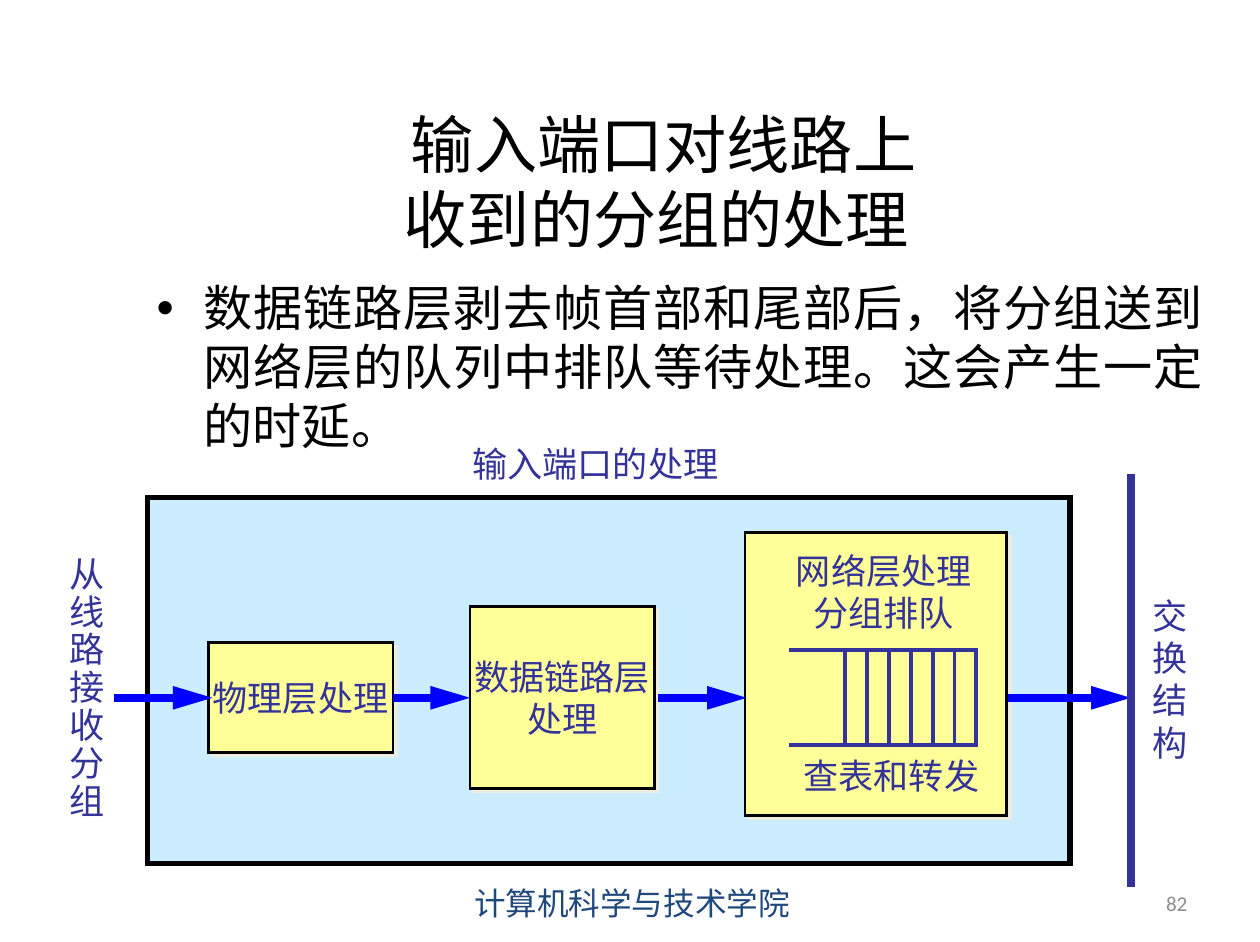
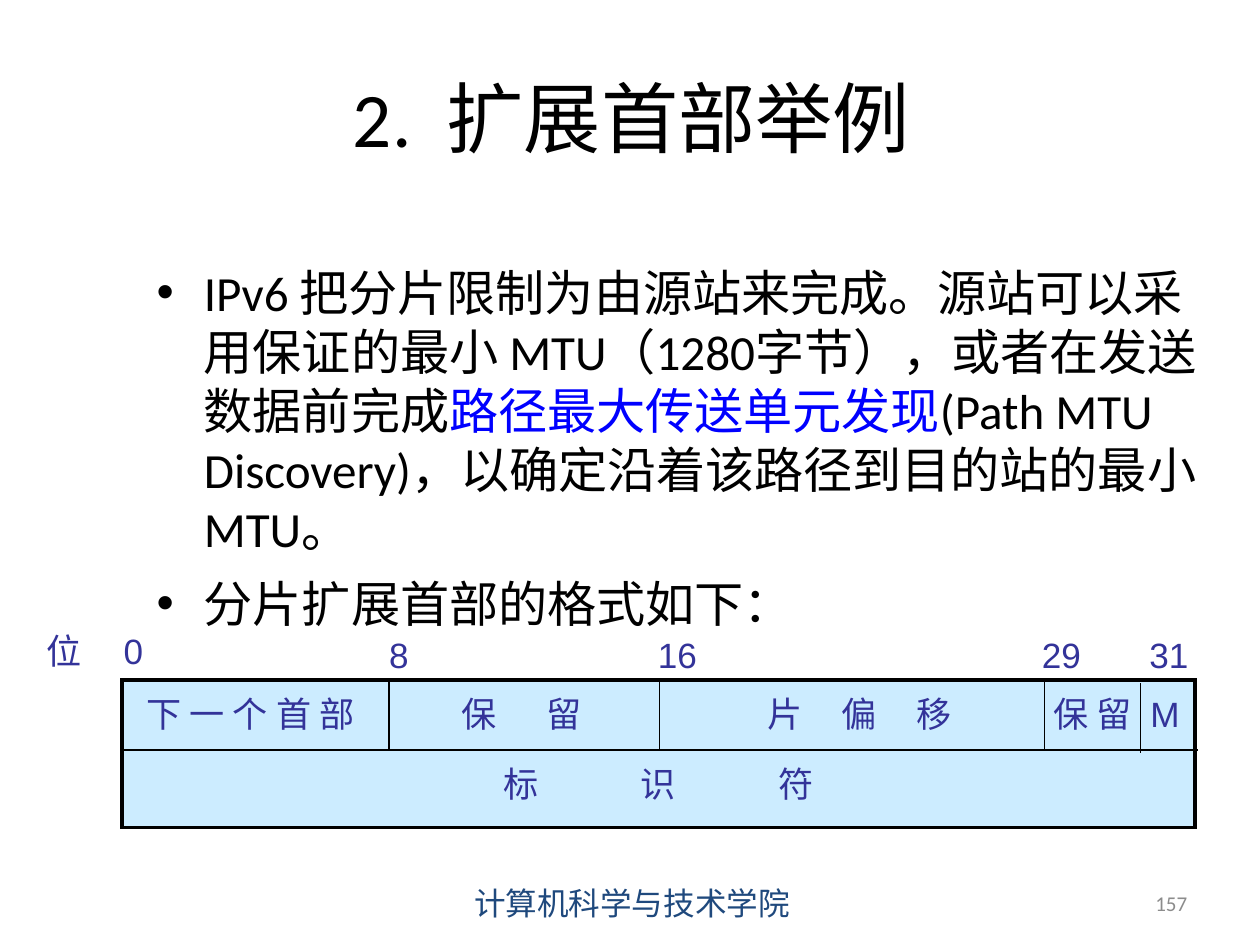
from dataclasses import dataclass

from lxml.etree import SubElement
from pptx import Presentation
from pptx.dml.color import RGBColor
from pptx.enum.shapes import MSO_CONNECTOR, MSO_SHAPE
from pptx.enum.text import MSO_ANCHOR, PP_ALIGN
from pptx.oxml.ns import qn
from pptx.util import Cm, Pt


@dataclass(frozen=True)
class Theme:
    black: str = "000000"
    blue: str = "0000FF"
    indigo: str = "333399"
    navy: str = "1F497D"
    grey: str = "8C8C8C"
    sky: str = "CCECFF"
    yellow: str = "FFFF99"
    shadow: str = "EEECE1"
    text_font: str = "Calibri"
    label_font: str = "Arial"
    body_size: int = 28
    label_size: int = 20
    footer_size: int = 18
    number_size: int = 12


THEME = Theme()
FOOTER = "计算机科学与技术学院"

# Content: a run is (text, colour, letter spacing in points); lengths in cm
PORT_TITLE = [[("输入端口对线路上\v收到的分组的处理 ", THEME.black, 0)]]
PORT_BODY = [[("数据链路层剥去帧首部和尾部后，将分组送到网络层的队列中排队等待处理。"
               "这会产生一定的时延。", THEME.black, 0)]]
PORT_FRAME = (2.97, 10, 18.54, 7.37)
LAYER_BOXES = [
    (["物理层处理"], (4.19, 12.92, 3.71, 2.21)),
    (["数据链路层", "处理"], (9.45, 12.19, 3.71, 3.66)),
    ([], (14.98, 10.71, 5.26, 5.69)),
]
FLOW_Y = 14.03
FLOW_ARROWS = [(2.29, 4.27), (7.9, 9.45), (13.23, 15.01), (20.27, 22.73)]
FABRIC_BAR = (22.73, 9.53, 17.83)
QUEUE = (15.87, 13.07, 19.63, 14.98)
QUEUE_SLOTS, QUEUE_STEP = 6, 0.44
# lines, centre, top, width, line spacing
PORT_LABELS = [
    (["网络层处理", "分组排队"], 17.77, 10.92, 4.06, 1),
    (["查表和转发"], 17.92, 15.04, 4.06, 1),
    (["输入端口的处理"], 11.97, 8.78, 5.5, 1),
    (list("交换结构"), 23.52, 11.83, 1.22, 1),
    (list("从线路接收分组"), 1.75, 11.07, 1.22, 0.9),
]

HEADER_TITLE = [[("2.", THEME.black, 0), (" ", THEME.black, 10),
                 ("扩展首部举例", THEME.black, 0)]]
HEADER_BODY = [
    [("IPv6 把分片限制为由源站来完成。源站可以采用保证的最小 MTU（1280字节），"
      "或者在发送数据前完成", THEME.black, 0),
     ("路径最大传送单元发现", THEME.blue, 0),
     ("(Path MTU Discovery)，以确定沿着该路径到目的站的最小 MTU。", THEME.black, 0)],
    [("分片扩展首部的格式如下：", THEME.black, 0)],
]
HEADER_FRAME = (2.46, 13.67, 21.56, 2.97)
ROW_LINE = (2.49, 24.08, 15.08)
# x, top, bottom
DIVIDERS = [(7.82, 13.69, 15.08), (13.26, 13.69, 15.08),
            (21, 13.67, 15.08), (22.93, 13.74, 15.14)]
# text, letter spacing, centre, top, width
FIELDS = [
    ("下 一 个 首 部", 0, 5.04, 13.79, 4.85),
    ("保 留", 12, 10.48, 13.79, 3.1),
    ("片 偏 移", 9, 17.28, 13.79, 4.6),
    ("保 留", 0, 21.97, 13.79, 1.9),
    ("M", 0, 23.42, 13.79, 1.09),
    ("标 识 符", 27, 13.24, 15.21, 7.75),
]
BITS_TOP, LOW_BITS_TOP, BIT_WIDTH = 12.54, 12.61, 1.2
BITS = [("位", 1.28, BITS_TOP), ("0", 2.68, BITS_TOP), ("8", 8.02, LOW_BITS_TOP),
        ("16", 13.62, LOW_BITS_TOP), ("29", 21.34, LOW_BITS_TOP), ("31", 23.5, LOW_BITS_TOP)]


def color(value):
    return RGBColor.from_string(value)


# Text
def add_bullet(para):
    properties = para._p.get_or_add_pPr()
    properties.set("marL", str(Cm(0.95)))
    properties.set("indent", str(-Cm(0.95)))
    SubElement(properties, qn("a:buFont")).set("typeface", THEME.label_font)
    SubElement(properties, qn("a:buChar")).set("char", "•")


def fill_text(frame, paragraphs, font, size, align, bullet=False, spacing=None):
    for index, runs in enumerate(paragraphs):
        para = frame.paragraphs[0] if index == 0 else frame.add_paragraph()
        if bullet:
            add_bullet(para)
            if index:
                para.space_before = Pt(9)
        para.alignment = align
        if spacing:
            para.line_spacing = spacing
        para.font.name = font
        para.font.size = Pt(size)
        for text, ink, gap in runs:
            for part_index, part in enumerate(text.split("\v")):
                if part_index:
                    para.add_line_break()
                span = para.add_run()
                span.text = part
                span.font.name = font
                span.font.size = Pt(size)
                span.font.color.rgb = color(ink)
                if gap:
                    span._r.get_or_add_rPr().set("spc", str(gap * 100))


def add_text(page, place, paragraphs, size, align=PP_ALIGN.CENTER,
             anchor=MSO_ANCHOR.MIDDLE, bullet=False):
    frame = page.shapes.add_textbox(*map(Cm, place)).text_frame
    frame.word_wrap = True
    frame.vertical_anchor = anchor
    fill_text(frame, paragraphs, THEME.text_font, size, align, bullet)


def label_runs(text, gap=0):
    if not gap:
        return [(text, THEME.indigo, 0)]
    return [(text[:-1], THEME.indigo, gap), (text[-1], THEME.indigo, 0)]


def add_label(page, paragraphs, center, top, width, spacing=1):
    height = 0.25 + 0.85 * len(paragraphs) * spacing
    place = (center - width / 2, top, width, height)
    frame = page.shapes.add_textbox(*map(Cm, place)).text_frame
    frame.word_wrap = False
    frame.margin_left = frame.margin_right = 0
    fill_text(frame, paragraphs, THEME.label_font, THEME.label_size,
              PP_ALIGN.CENTER, spacing=spacing)


# Shapes
def paint(shape, fill, line, width):
    shape.shadow.inherit = False
    shape.fill.solid()
    shape.fill.fore_color.rgb = color(fill)
    shape.line.color.rgb = color(line)
    shape.line.width = Pt(width)
    SubElement(shape.line._get_or_add_ln(), qn("a:miter")).set("lim", "800000")


def add_box(page, place, fill, width):
    box = page.shapes.add_shape(MSO_SHAPE.RECTANGLE, *map(Cm, place))
    paint(box, fill, THEME.black, width)
    return box


def add_layer_box(page, lines, place):
    box = add_box(page, place, THEME.yellow, 1.5)
    effects = box._element.spPr.find(qn("a:effectLst"))
    shadow = SubElement(effects, qn("a:outerShdw"), dist=str(Pt(2.8)),
                        dir="2700000", algn="ctr", rotWithShape="0")
    SubElement(shadow, qn("a:srgbClr")).set("val", THEME.shadow)
    frame = box.text_frame
    frame.word_wrap = False
    frame.vertical_anchor = MSO_ANCHOR.MIDDLE
    fill_text(frame, [label_runs(line) for line in lines], THEME.label_font,
              THEME.label_size, PP_ALIGN.CENTER)


def add_line(page, start, end, ink, width, arrow=False):
    line = page.shapes.add_connector(MSO_CONNECTOR.STRAIGHT, *map(Cm, start + end))
    line.line.color.rgb = color(ink)
    line.line.width = Pt(width)
    if arrow:
        SubElement(line.line._get_or_add_ln(), qn("a:tailEnd"),
                   type="triangle", w="med", len="lg")
    SubElement(line._element.spPr, qn("a:effectLst"))


# Shared page frame
def add_page(deck, number, title, title_place, title_size, body, body_place, body_align):
    page = deck.slides.add_slide(deck.slide_layouts[6])
    add_text(page, (8.68, 17.65, 8.05, 1.02), [[(FOOTER, THEME.navy, 0)]], THEME.footer_size)
    add_text(page, (18.2, 17.65, 5.92, 1.02), [[(number, THEME.grey, 0)]],
             THEME.number_size, PP_ALIGN.RIGHT)
    add_text(page, title_place, title, title_size)
    add_text(page, body_place, body, THEME.body_size, body_align, MSO_ANCHOR.TOP, True)
    return page


def add_queue(page):
    left, top, right, bottom = QUEUE
    builder = page.shapes.build_freeform(Cm(left), Cm(top))
    corners = [(right, top), (right, bottom), (left, bottom)]
    builder.add_line_segments([(Cm(x), Cm(y)) for x, y in corners], close=False)
    paint(builder.convert_to_shape(), THEME.yellow, THEME.indigo, 2.25)
    for slot in range(1, QUEUE_SLOTS + 1):
        x = right - slot * QUEUE_STEP
        add_line(page, (x, top), (x, bottom), THEME.indigo, 2.25)


def build_port_page(deck):
    page = add_page(deck, "82", PORT_TITLE, (3.84, 2.57, 19, 2.13), 36,
                    PORT_BODY, (2.9, 5.46, 21.54, 3.81), PP_ALIGN.JUSTIFY)
    add_box(page, PORT_FRAME, THEME.sky, 3)
    for lines, place in LAYER_BOXES:
        add_layer_box(page, lines, place)
    for start, end in FLOW_ARROWS:
        add_line(page, (start, FLOW_Y), (end, FLOW_Y), THEME.blue, 4.5, True)
    x, top, bottom = FABRIC_BAR
    add_line(page, (x, top), (x, bottom), THEME.indigo, 4.5)
    add_queue(page)
    for lines, center, top, width, spacing in PORT_LABELS:
        add_label(page, [label_runs(line) for line in lines], center, top, width, spacing)


def build_header_page(deck):
    page = add_page(deck, "157", HEADER_TITLE, (1.27, 0.76, 22.86, 3.18), 44,
                    HEADER_BODY, (2.9, 5.15, 21.54, 7.7), PP_ALIGN.LEFT)
    add_box(page, HEADER_FRAME, THEME.sky, 2.25)
    left, right, y = ROW_LINE
    add_line(page, (left, y), (right, y), THEME.black, 1)
    for x, top, bottom in DIVIDERS:
        add_line(page, (x, top), (x, bottom), THEME.black, 1)
    for text, center, top in BITS:
        add_label(page, [label_runs(text)], center, top, BIT_WIDTH)
    for text, gap, center, top, width in FIELDS:
        add_label(page, [label_runs(text, gap)], center, top, width)


def main():
    deck = Presentation()
    deck.slide_width, deck.slide_height = Cm(25.33), Cm(18.94)
    build_port_page(deck)
    build_header_page(deck)
    deck.save("out.pptx")


if __name__ == "__main__":
    main()
